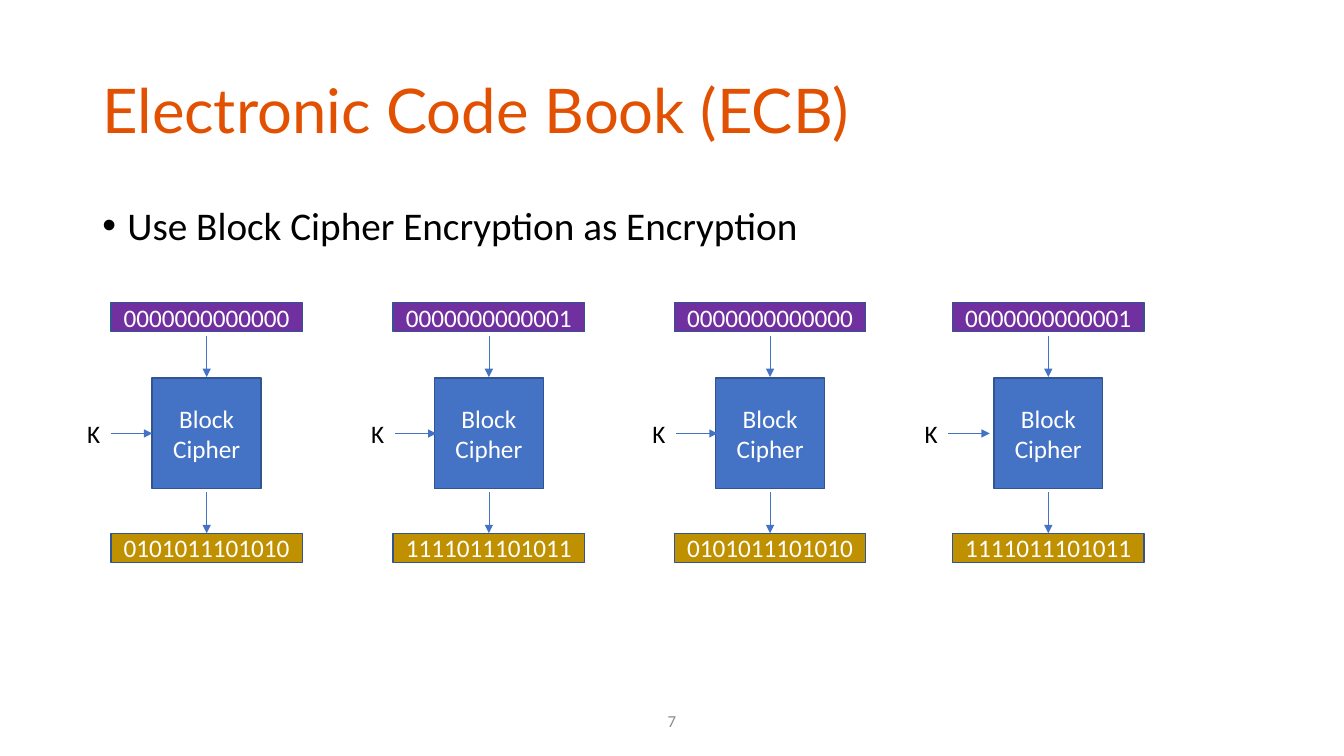
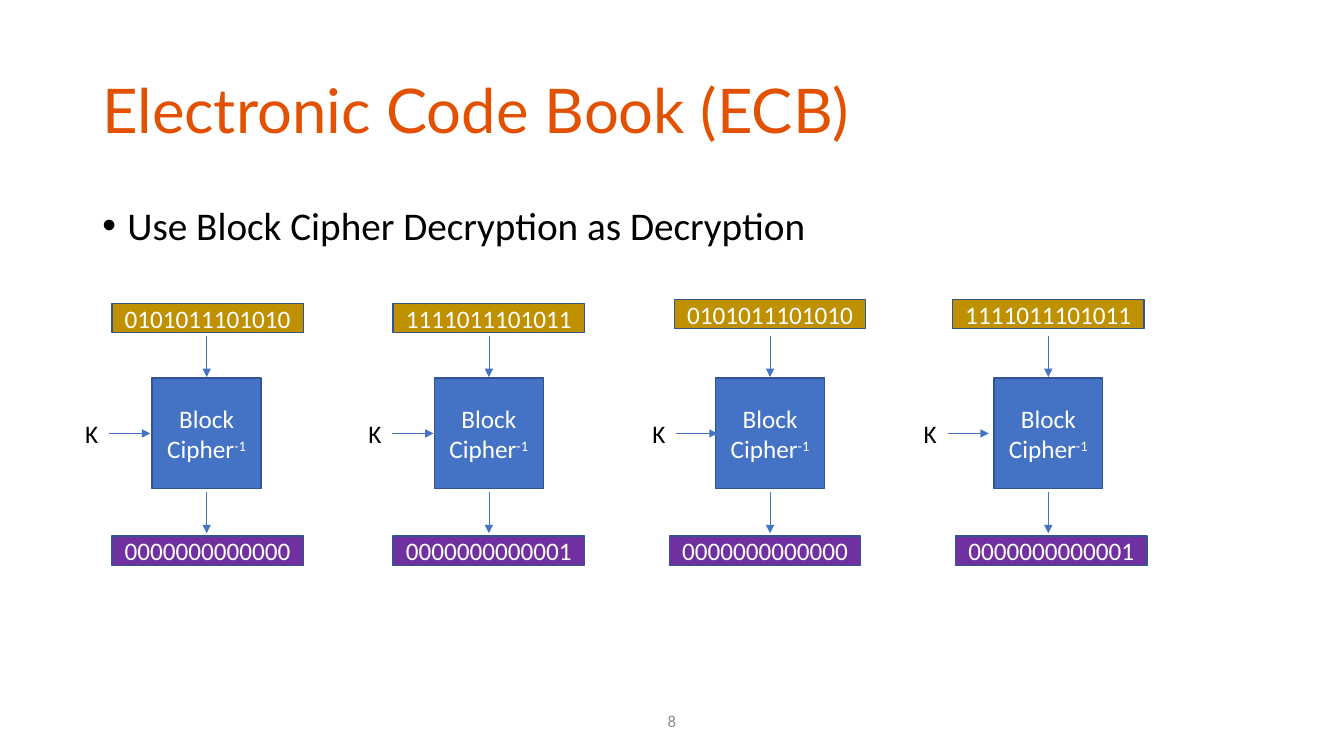
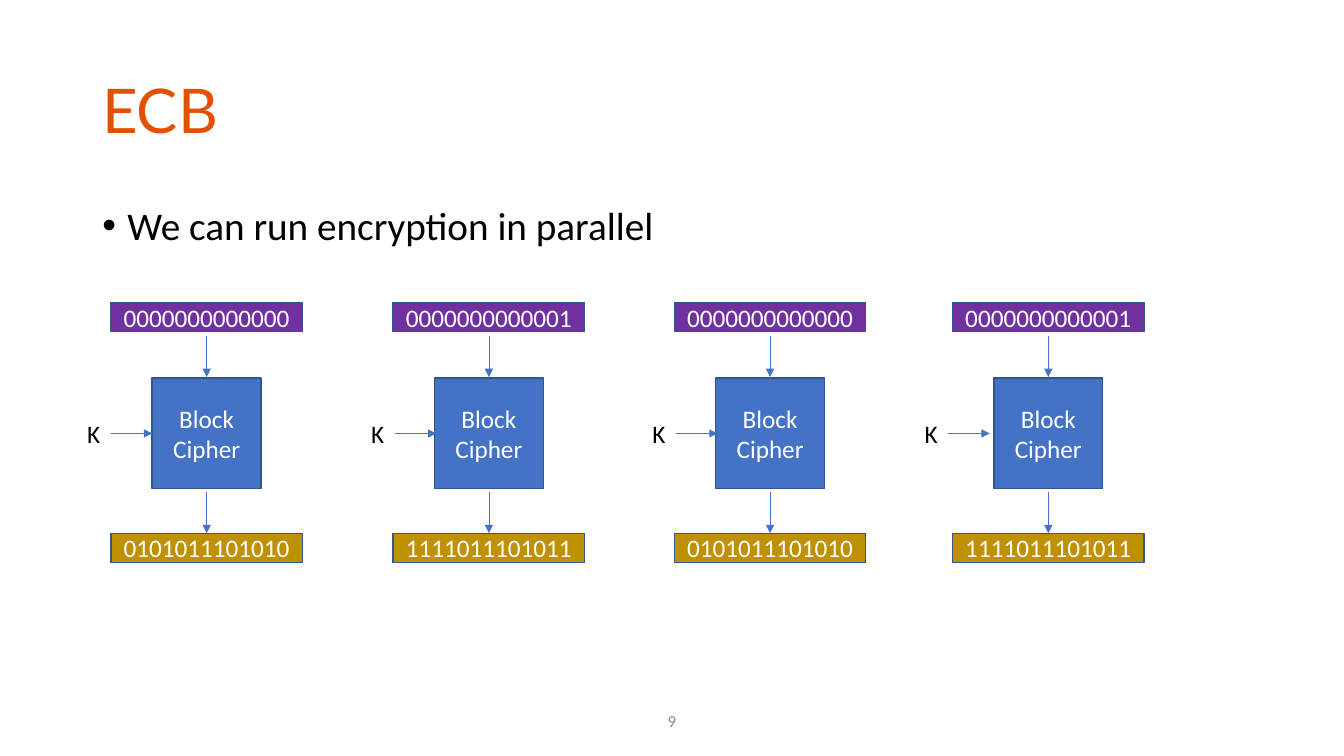
from lxml import etree
from pptx import Presentation
from pptx.dml.color import RGBColor
from pptx.enum.shapes import MSO_CONNECTOR, MSO_SHAPE
from pptx.enum.text import MSO_ANCHOR, MSO_AUTO_SIZE, PP_ALIGN
from pptx.oxml.ns import qn
from pptx.util import Pt

RECTANGLE = MSO_SHAPE.RECTANGLE
STRAIGHT = MSO_CONNECTOR.STRAIGHT
TOP, MIDDLE = MSO_ANCHOR.TOP, MSO_ANCHOR.MIDDLE
LEFT, CENTER = PP_ALIGN.LEFT, PP_ALIGN.CENTER
FIT_SHAPE = MSO_AUTO_SIZE.SHAPE_TO_FIT_TEXT

COLORS = {
    "title": "E15101",
    "body": "000000",
    "footer": "8C8C8C",
    "white": "FFFFFF",
    "plaintext": "7030A0",
    "ciphertext": "BF9000",
    "cipher": "4472C4",
    "outline": "325491",
}

CENTERS = (147.6, 349.2, 550.1, 748.8)
BITS_WIDTH, BITS_HEIGHT = 136.8, 20.9
CIPHER_TOP, CIPHER_WIDTH, CIPHER_HEIGHT = 270, 77.8, 79.2
ARROW_LENGTH = 29.5
INPUT_ARROW_TOP, OUTPUT_ARROW_TOP = 239.8, 351.4
KEY_Y, KEY_WIDTH, KEY_HEIGHT = 309.6, 24.1, 28.8

PLAINTEXTS = ("0000000000000", "0000000000001") * 2
CIPHERTEXTS = ("0101011101010", "1111011101011") * 2

# Shifts move a bit string sideways from the centre of its column.
ENCRYPTION = {
    "input": ("plaintext", PLAINTEXTS, (216,) * 4, (0,) * 4),
    "output": ("ciphertext", CIPHERTEXTS, (380.9,) * 4, (0,) * 4),
    "key_lefts": (79.2, 282.2, 483.1, 677.5),
    "superscript": "",
}
DECRYPTION = {
    "input": ("ciphertext", CIPHERTEXTS, (216.7, 216.7, 213.8, 213.8), (0.7, 0, 0, 0)),
    "output": ("plaintext", PLAINTEXTS, (383,) * 4, (0.7, 0, -3.6, 2.2)),
    "key_lefts": (77.8, 280.1, 483.1, 676.8),
    "superscript": "-1",
}
SLIDES = (
    ("Electronic Code Book (ECB)", "Use Block Cipher Encryption as Encryption", ENCRYPTION),
    ("Electronic Code Book (ECB)", "Use Block Cipher Decryption as Decryption", DECRYPTION),
    ("ECB", "We can run encryption in parallel", ENCRYPTION),
)
FIRST_NUMBER = 7


def write_text(shape, text, size=18, font="Calibri", color="white", align=CENTER,
               anchor=MIDDLE, wrap=True, spacing=None, before=None, bullet=False,
               superscript=""):
    """Fill a shape with one paragraph per line; the superscript ends the last."""
    frame = shape.text_frame
    frame.word_wrap = wrap
    frame.vertical_anchor = anchor
    frame.text = text
    if superscript:
        run = frame.paragraphs[-1].add_run()
        run.text = superscript
        run._r.get_or_add_rPr().set("baseline", "30000")
    for paragraph in frame.paragraphs:
        paragraph.alignment = align
        if spacing:
            paragraph.line_spacing = spacing
        if before:
            paragraph.space_before = Pt(before)
        if bullet:
            properties = paragraph._p.get_or_add_pPr()
            properties.set("marL", str(Pt(18)))
            properties.set("indent", str(-Pt(18)))
            etree.SubElement(properties, qn("a:buFont"), typeface="Arial")
            etree.SubElement(properties, qn("a:buChar"), char="•")
        for run in paragraph.runs:
            run.font.name = font
            run.font.size = Pt(size)
            run.font.color.rgb = RGBColor.from_string(COLORS[color])


def add_arrow(slide, x1, y1, x2, y2):
    arrow = slide.shapes.add_connector(STRAIGHT, Pt(x1), Pt(y1), Pt(x2), Pt(y2))
    arrow.line.color.rgb = RGBColor.from_string(COLORS["cipher"])
    arrow.line.width = Pt(0.5)
    etree.SubElement(arrow.line._get_or_add_ln(), qn("a:tailEnd"), type="triangle")
    etree.SubElement(arrow._element.spPr, qn("a:effectLst"))


presentation = Presentation()
presentation.slide_width = Pt(960)
presentation.slide_height = Pt(540)
blank_layout = presentation.slide_layouts[6]

for number, (title, bullet_text, diagram) in enumerate(SLIDES, FIRST_NUMBER):
    slide = presentation.slides.add_slide(blank_layout)

    title_box = slide.shapes.add_textbox(Pt(66), Pt(28.8), Pt(828), Pt(104.4))
    write_text(title_box, title, size=44, font="Lato", color="title", align=LEFT, spacing=0.9)
    body_box = slide.shapes.add_textbox(Pt(66), Pt(144), Pt(828), Pt(342.7))
    write_text(body_box, bullet_text, size=28, color="body", align=LEFT, anchor=TOP,
               spacing=0.9, before=10, bullet=True)
    number_box = slide.shapes.add_textbox(Pt(372), Pt(500.4), Pt(216), Pt(28.8))
    write_text(number_box, str(number), size=12, color="footer")

    input_fill, input_bits, input_tops, input_shifts = diagram["input"]
    output_fill, output_bits, output_tops, output_shifts = diagram["output"]

    for column, center in enumerate(CENTERS):
        boxes = (
            (input_bits[column], input_fill, center + input_shifts[column],
             input_tops[column], BITS_WIDTH, BITS_HEIGHT, ""),
            ("Block\nCipher", "cipher", center,
             CIPHER_TOP, CIPHER_WIDTH, CIPHER_HEIGHT, diagram["superscript"]),
            (output_bits[column], output_fill, center + output_shifts[column],
             output_tops[column], BITS_WIDTH, BITS_HEIGHT, ""),
        )
        for text, fill, middle, top, width, height, superscript in boxes:
            box = slide.shapes.add_shape(
                RECTANGLE, Pt(middle - width / 2), Pt(top), Pt(width), Pt(height))
            box.shadow.inherit = False
            box.fill.solid()
            box.fill.fore_color.rgb = RGBColor.from_string(COLORS[fill])
            box.line.color.rgb = RGBColor.from_string(COLORS["outline"])
            box.line.width = Pt(1)
            write_text(box, text, superscript=superscript)

        for top in (INPUT_ARROW_TOP, OUTPUT_ARROW_TOP):
            add_arrow(slide, center, top, center, top + ARROW_LENGTH)

        key_left = diagram["key_lefts"][column]
        key_box = slide.shapes.add_textbox(
            Pt(key_left - KEY_WIDTH), Pt(KEY_Y - KEY_HEIGHT / 2), Pt(KEY_WIDTH), Pt(KEY_HEIGHT))
        write_text(key_box, "K", color="body", align=LEFT, anchor=TOP, wrap=False)
        key_box.text_frame.auto_size = FIT_SHAPE
        add_arrow(slide, key_left, KEY_Y, key_left + ARROW_LENGTH, KEY_Y)

presentation.save("out.pptx")
